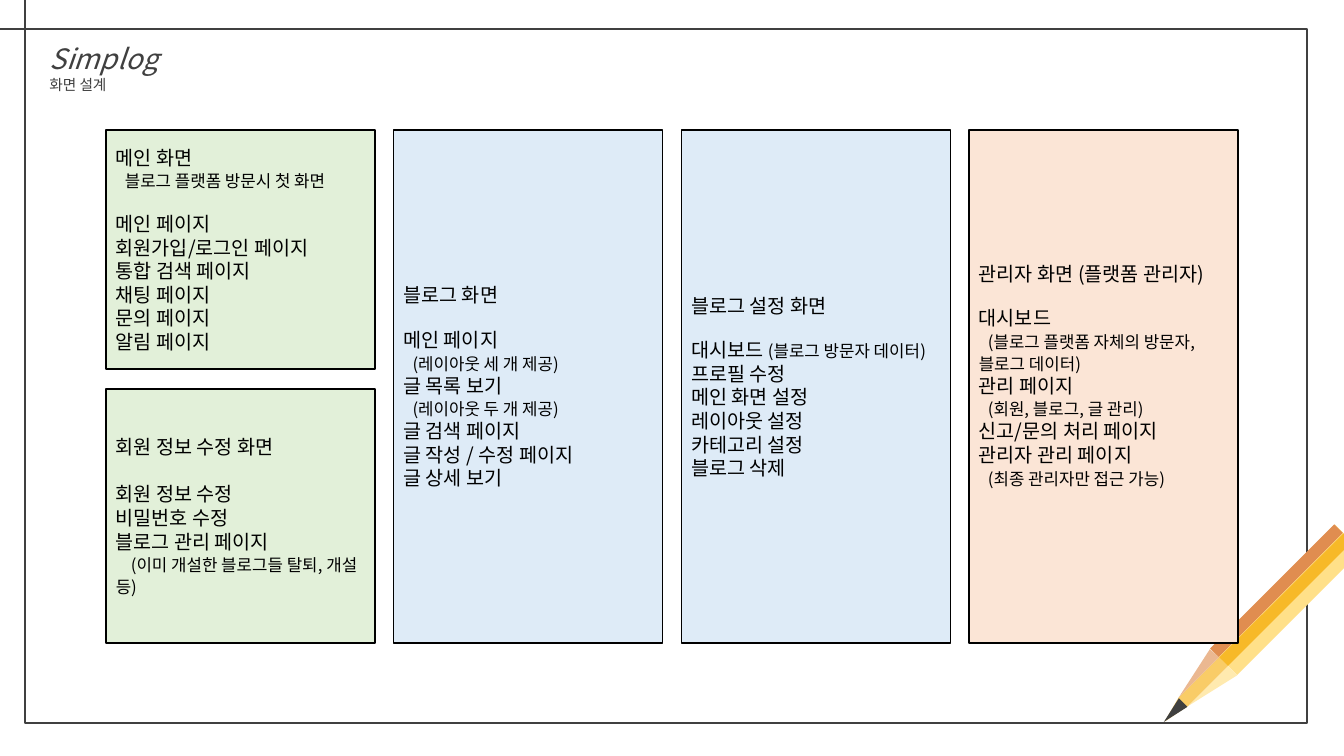
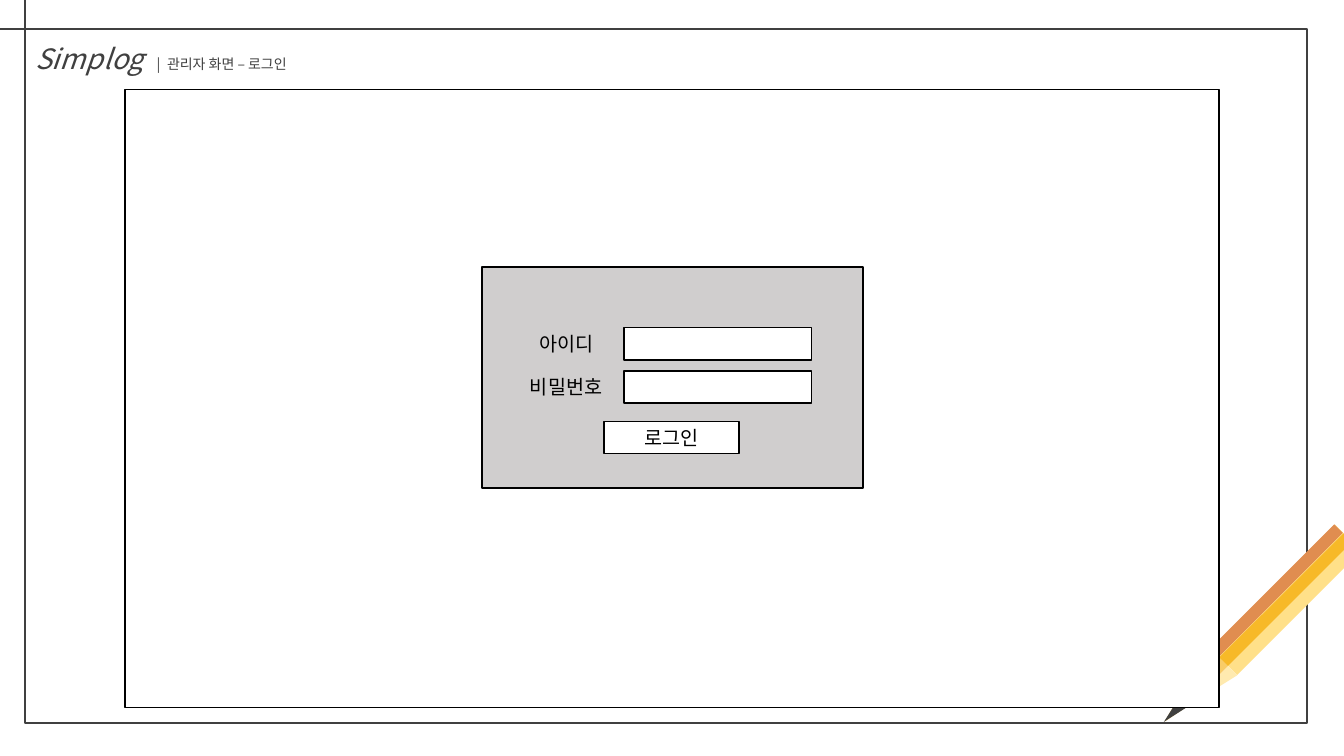
import pptx
import pptx.util
import pptx.dml.color
import pptx.enum.shapes
import pptx.enum.text
import pptx.oxml.ns
import lxml.etree

Inches = pptx.util.Inches
Pt = pptx.util.Pt
KIND = pptx.enum.shapes.MSO_SHAPE
ALIGN = pptx.enum.text.PP_ALIGN
ANCHOR = pptx.enum.text.MSO_ANCHOR
FONT = "Noto Sans CJK KR"
COLORS = {
    "ink": "404040", "black": "000000", "white": "FFFFFF",
    "green": "E2F0D9", "blue": "DEEBF7", "peach": "FBE5D6", "gray": "D0CECE",
    "pale": "FFE089", "gold": "F7B928", "rust": "E08D50",
    "wood": "F9CC67", "shade": "EBB891", "light": "FFEAAF",
}
LEADS = {10: 12, 10.5: 13.4, 12: 15.8, 14: 16.8, 20: 23.2}
BRAND = ("Simplog", 20, True)

SHAFT = [
    (KIND.RECTANGLE, (12.57, 5.08, 0.37, 1.74), "pale"),
    (KIND.RECTANGLE, (12.69, 5.08, 0.12, 1.74), "gold"),
    (KIND.RECTANGLE, (12.6, 4.99, 0.12, 1.74), "rust"),
]
CONE = [
    ("wood", [(11.69, 6.92), (12.09, 6.52), (12.18, 6.61), (11.79, 7), (11.55, 7.16)]),
    ("shade", [(12, 6.44), (12.09, 6.52), (11.69, 6.92)]),
    ("light", [(11.79, 7), (12.18, 6.61), (12.27, 6.7)]),
]
TIP = [(KIND.ISOSCELES_TRIANGLE, (11.58, 6.93, 0.12, 0.27), "ink")]
TICKS = [(0.25, 0, 0.25, 0.39), (0, 0.29, 0.39, 0.29)]


def line(text, gap=0):
    return {"runs": [(text, 14, False)], "gap": gap}


def note(text, indent=0.09):
    return {"runs": [(text, 12, False)], "indent": indent}


PANELS = [
    {"col": 0, "top": 1.29, "high": 2.37, "fill": "green", "rows": [
        line("메인 화면"), note("블로그 플랫폼 방문시 첫 화면"),
        line("메인 페이지", 15), line("회원가입/로그인 페이지"),
        line("통합 검색 페이지"), line("채팅 페이지"),
        line("문의 페이지"), line("알림 페이지")]},
    {"col": 0, "top": 3.86, "high": 2.52, "fill": "green", "rows": [
        line("회원 정보 수정 화면"), line("회원 정보 수정", 17),
        line("비밀번호 수정"), line("블로그 관리 페이지"),
        note("(이미 개설한 블로그들 탈퇴, 개설 등)", 0.15)]},
    {"col": 1, "top": 1.29, "high": 5.09, "fill": "blue", "rows": [
        line("블로그 화면"), line("메인 페이지", 15),
        note("(레이아웃 세 개 제공)"), line("글 목록 보기"),
        note("(레이아웃 두 개 제공)"), line("글 검색 페이지"),
        line("글 작성 / 수정 페이지"), line("글 상세 보기")]},
    {"col": 2, "top": 1.29, "high": 5.09, "fill": "blue", "rows": [
        line("블로그 설정 화면"),
        {"runs": [("대시보드 ", 14, False), ("(블로그 방문자 데이터)", 12, False)], "gap": 15},
        line("프로필 수정"), line("메인 화면 설정"), line("레이아웃 설정"),
        line("카테고리 설정"), line("블로그 삭제")]},
    {"col": 3, "top": 1.29, "high": 5.09, "fill": "peach", "foot": 0.28, "rows": [
        line("관리자 화면 (플랫폼 관리자)"), line("대시보드", 15),
        note("(블로그 플랫폼 자체의 방문자, 블로그 데이터)"),
        line("관리 페이지"), note("(회원, 블로그, 글 관리)"),
        line("신고/문의 처리 페이지"), line("관리자 관리 페이지"),
        note("(최종 관리자만 접근 가능)")]},
]
FIELDS = ["아이디", "비밀번호"]


def color(name):
    return pptx.dml.color.RGBColor.from_string(COLORS[name])


def put(item, values):
    for name, value in values.items():
        setattr(item, name, value)


def paint(shape, fill=None, edge=None, width=1):
    shape.shadow.inherit = False
    if fill:
        shape.fill.solid()
        shape.fill.fore_color.rgb = color(fill)
    else:
        shape.fill.background()
    if edge:
        shape.line.color.rgb = color(edge)
        shape.line.width = Pt(width)
    else:
        shape.line.fill.background()


def box(slide, place, fill=None, edge="black", width=1, kind=KIND.RECTANGLE):
    shape = slide.shapes.add_shape(kind, *map(Inches, place))
    paint(shape, fill, edge, width)
    return shape


def write(shape, rows, ink="black", align=ALIGN.LEFT, anchor=ANCHOR.MIDDLE,
          foot=0.05, right=0.1):
    frame = shape.text_frame
    put(frame, {
        "word_wrap": True, "vertical_anchor": anchor,
        "auto_size": pptx.enum.text.MSO_AUTO_SIZE.NONE,
        "margin_left": Inches(0.1), "margin_right": Inches(right),
        "margin_top": Inches(0.05), "margin_bottom": Inches(foot),
    })
    for num, row in enumerate(rows):
        para = frame.add_paragraph() if num else frame.paragraphs[0]
        put(para, {
            "alignment": align, "space_after": Pt(0),
            "space_before": Pt(row.get("gap", 0)),
            "line_spacing": Pt(max(LEADS[part[1]] for part in row["runs"])),
        })
        props = para._p.get_or_add_pPr()
        props.set("indent", str(Inches(row.get("indent", 0))))
        for text, size, slant, *track in row["runs"]:
            run = para.add_run()
            run.text = text
            put(run.font, {"size": Pt(size), "italic": slant, "bold": False, "name": FONT})
            run.font.color.rgb = color(ink)
            mark = run.font._element
            east = lxml.etree.SubElement(mark, pptx.oxml.ns.qn("a:ea"))
            east.set("typeface", FONT)
            if track:
                mark.set("spc", str(track[0]))


def draw(slide, parts):
    for kind, spot, fill in parts:
        box(slide, spot, fill, None, kind=kind).rotation = 225


def start(deck, place, rows):
    slide = deck.slides.add_slide(deck.slide_layouts[5])
    title = slide.shapes.title
    put(title, dict(zip(("left", "top", "width", "height"), map(Inches, place))))
    write(title, rows, "ink", anchor=ANCHOR.TOP)
    box(slide, (0.25, 0.29, 12.71, 6.88), edge="ink", width=1.5)
    draw(slide, SHAFT)
    for fill, points in CONE:
        spots = [(Inches(x), Inches(y)) for x, y in points]
        form = slide.shapes.build_freeform(*spots[0])
        form.add_line_segments(spots[1:], close=True)
        paint(form.convert_to_shape(), fill)
    draw(slide, TIP)
    for ends in TICKS:
        tick = slide.shapes.add_connector(
            pptx.enum.shapes.MSO_CONNECTOR.STRAIGHT, *map(Inches, ends))
        tick.line.color.rgb = color("ink")
        tick.line.width = Pt(1.5)
        lxml.etree.SubElement(tick._element.spPr, pptx.oxml.ns.qn("a:effectLst"))
    return slide


def plan(deck):
    slide = start(deck, (0.39, 0.37, 3.91, 0.61), [
        {"runs": [BRAND]}, {"runs": [("화면 설계", 10.5, False)]}])
    left, right, wide = 1.05, 12.28, 2.67
    step = (right - left - wide) / 3
    for panel in PANELS:
        place = (left + panel["col"] * step, panel["top"], wide, panel["high"])
        shape = box(slide, place, panel["fill"])
        write(shape, panel["rows"], foot=panel.get("foot", 0.05), right=0.15)


def login(deck):
    slide = start(deck, (0.25, 0.37, 4.86, 0.44), [{"runs": [
        BRAND, (" ", 20, True, 450), ("|", 10, False), (" ", 10, False, 260),
        ("관리자 화면 – 로그인", 10, False)]}])
    box(slide, (1.24, 0.89, 10.85, 6.13), "white")
    box(slide, (4.78, 2.65, 3.78, 2.19), "gray")
    for num, name in enumerate(FIELDS):
        top = 3.25 + num * 0.43
        box(slide, (6.19, top, 1.86, 0.32), "white")
        label = slide.shapes.add_textbox(*map(Inches, (5.14, top + 0.01, 0.95, 0.3)))
        write(label, [line(name)], align=ALIGN.CENTER)
    button = box(slide, (5.99, 4.18, 1.34, 0.32), "white")
    write(button, [line("로그인")], align=ALIGN.CENTER)


def main():
    deck = pptx.Presentation()
    put(deck, {"slide_width": Inches(13.33), "slide_height": Inches(7.5)})
    plan(deck)
    login(deck)
    deck.save("out.pptx")


if __name__ == "__main__":
    main()
